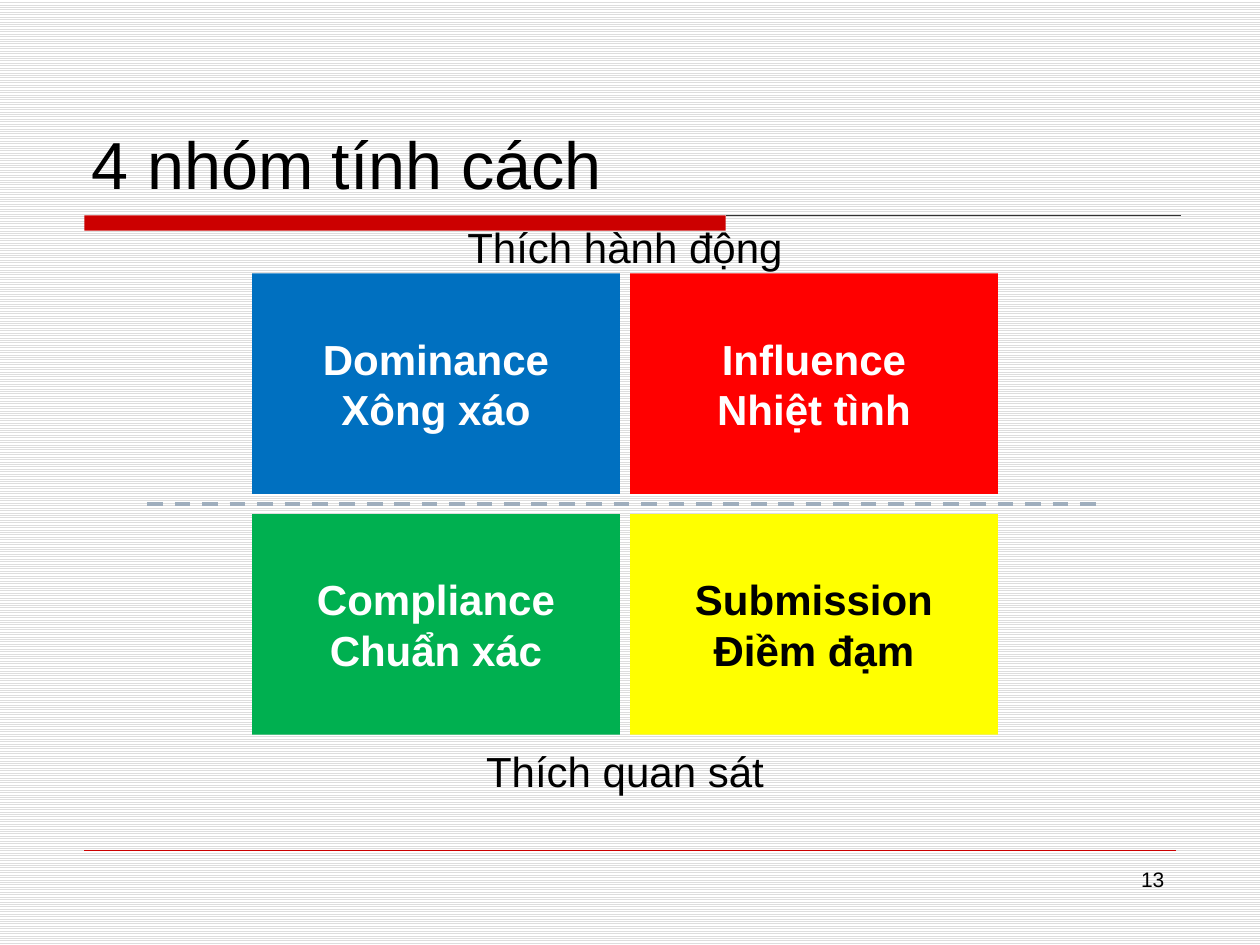
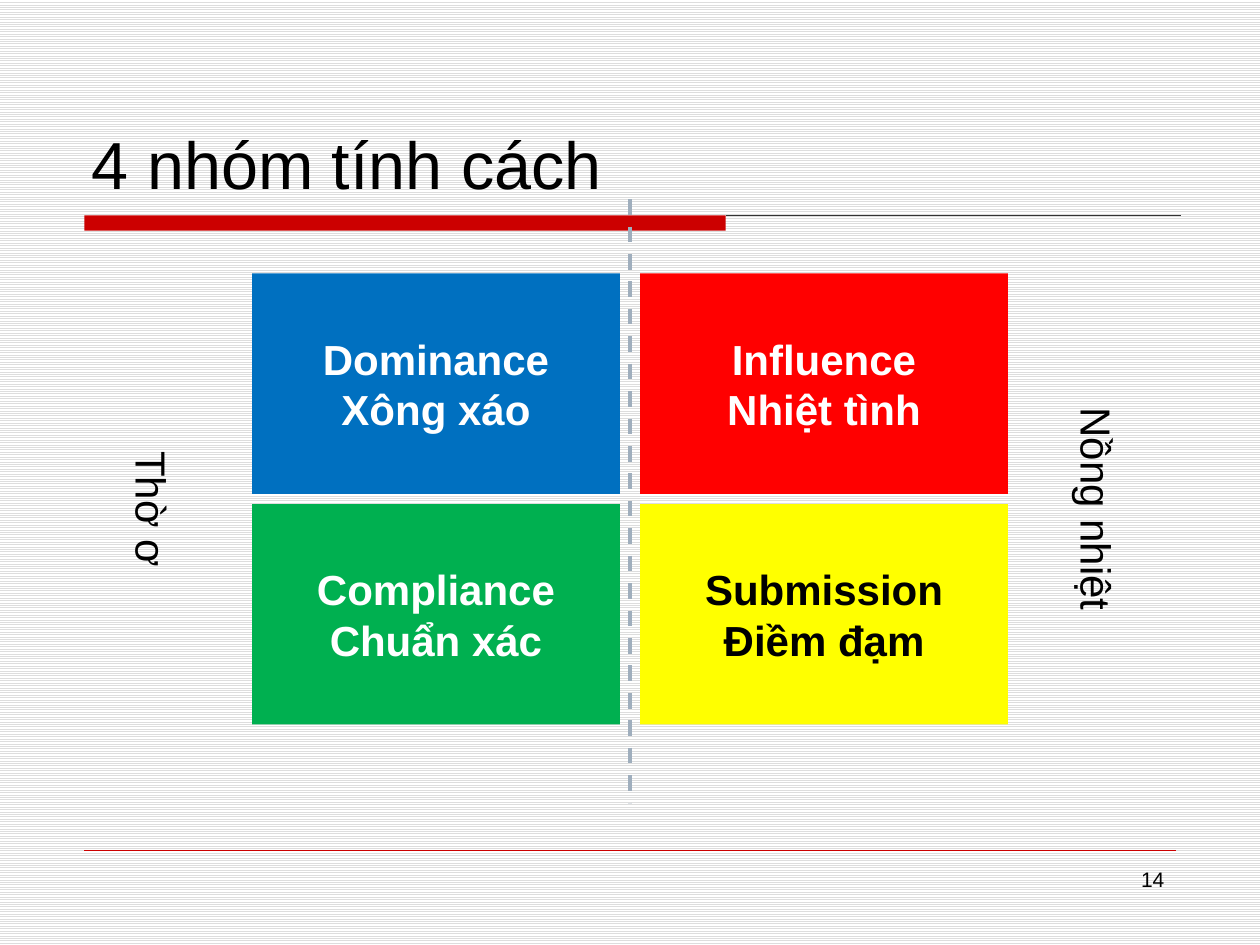
"""Build two slides on the four personality groups, split by action and by warmth."""
from pptx import Presentation
from pptx.dml.color import RGBColor
from pptx.enum.dml import MSO_LINE, MSO_PATTERN
from pptx.enum.shapes import MSO_CONNECTOR, MSO_SHAPE
from pptx.enum.text import MSO_ANCHOR as Anchor, PP_ALIGN as Align
from pptx.oxml.ns import qn
from pptx.util import Inches, Pt

TITLE = "4 nhóm tính cách"
GROUPS = [
    ("Dominance", "Xông xáo", "0070C0", "FFFFFF"),
    ("Influence", "Nhiệt tình", "FF0000", "FFFFFF"),
    ("Compliance", "Chuẩn xác", "00B050", "FFFFFF"),
    ("Submission", "Điềm đạm", "FFFF00", "000000"),
]
SLIDES = [
    {
        "number": 13,
        "gaps": (0.08, 0.16),
        "divider": ((1.17, 4), (8.75, 4)),
        "labels": [("Thích hành động", 3.5, 1.67), ("Thích quan sát", 3.5, 5.83)],
        "rotation": 0,
    },
    {
        "number": 14,
        "gaps": (0.16, 0.08),
        "divider": ((5, 1.58), (5, 6.37)),
        "labels": [("Thờ ơ", -0.25, 3.75), ("Nồng nhiệt", 7.25, 3.75)],
        "rotation": 90,
    },
]

FONT = "Arial"
BLACK, RED, RULE, DIVIDER = "000000", "CC0000", "333333", "9FAEBD"
STRIPE, PAPER = "DDDDDD", "FFFFFF"
GRID_LEFT, GRID_TOP = 2, 2.17
CELL_WIDTH, CELL_HEIGHT = 2.92, 1.75
LABEL_HEIGHT = 0.58


def color(value):
    return RGBColor.from_string(value)


def write(shape, lines, size, ink=BLACK, align=Align.CENTER, anchor=Anchor.MIDDLE, bold=False):
    frame = shape.text_frame
    frame.word_wrap = True
    frame.vertical_anchor = anchor
    frame.text = "\n".join(lines)
    for para in frame.paragraphs:
        para.alignment = align
        font = para.font
        font.name, font.size, font.bold = FONT, Pt(size), bold
        font.color.rgb = color(ink)


def add_text(page, area, text, size, **style):
    box = page.shapes.add_textbox(*map(Inches, area))
    write(box, [text], size, **style)
    return box


def add_block(page, area, fill):
    block = page.shapes.add_shape(MSO_SHAPE.RECTANGLE, *map(Inches, area))
    block.shadow.inherit = False
    block.fill.solid()
    block.fill.fore_color.rgb = color(fill)
    block.line.fill.background()
    return block


def add_line(page, start, end, ink, width):
    line = page.shapes.add_connector(MSO_CONNECTOR.STRAIGHT, *map(Inches, start + end))
    line.line.color.rgb = color(ink)
    line.line.width = Pt(width)
    properties = line._element.spPr
    properties.append(properties.makeelement(qn("a:effectLst"), {}))
    return line


def add_frame(page, number):
    fill = page.background.fill
    fill.patterned()
    fill.pattern = MSO_PATTERN.LIGHT_HORIZONTAL
    fill.fore_color.rgb = color(STRIPE)
    fill.back_color.rgb = color(PAPER)
    add_block(page, (0.67, 1.71, 5.09, 0.12), RED)
    add_line(page, (5.76, 1.71), (9.37, 1.71), RULE, 0.75)
    add_line(page, (0.67, 6.75), (9.33, 6.75), RED, 0.25)
    add_text(page, (0.63, 0.33, 8.75, 1.33), TITLE, 38, align=Align.LEFT, anchor=Anchor.BOTTOM)
    add_text(page, (7.17, 6.83, 2.17, 0.52), str(number), 12, align=Align.RIGHT, anchor=Anchor.TOP)


def add_groups(page, gaps):
    for index, (name, trait, fill, ink) in enumerate(GROUPS):
        row, column = divmod(index, 2)
        left = GRID_LEFT + column * (CELL_WIDTH + gaps[0])
        top = GRID_TOP + row * (CELL_HEIGHT + gaps[1])
        block = add_block(page, (left, top, CELL_WIDTH, CELL_HEIGHT), fill)
        write(block, [name, trait], 24, ink=ink, bold=True)


def main():
    deck = Presentation()
    deck.slide_width, deck.slide_height = Inches(10), Inches(7.5)
    for content in SLIDES:
        page = deck.slides.add_slide(deck.slide_layouts[6])
        add_frame(page, content["number"])
        add_groups(page, content["gaps"])
        divider = add_line(page, *content["divider"], DIVIDER, 2.25)
        divider.line.dash_style = MSO_LINE.DASH
        for text, left, top in content["labels"]:
            label = add_text(page, (left, top, CELL_WIDTH, LABEL_HEIGHT), text, 24)
            label.rotation = content["rotation"]
    deck.save("out.pptx")


if __name__ == "__main__":
    main()
